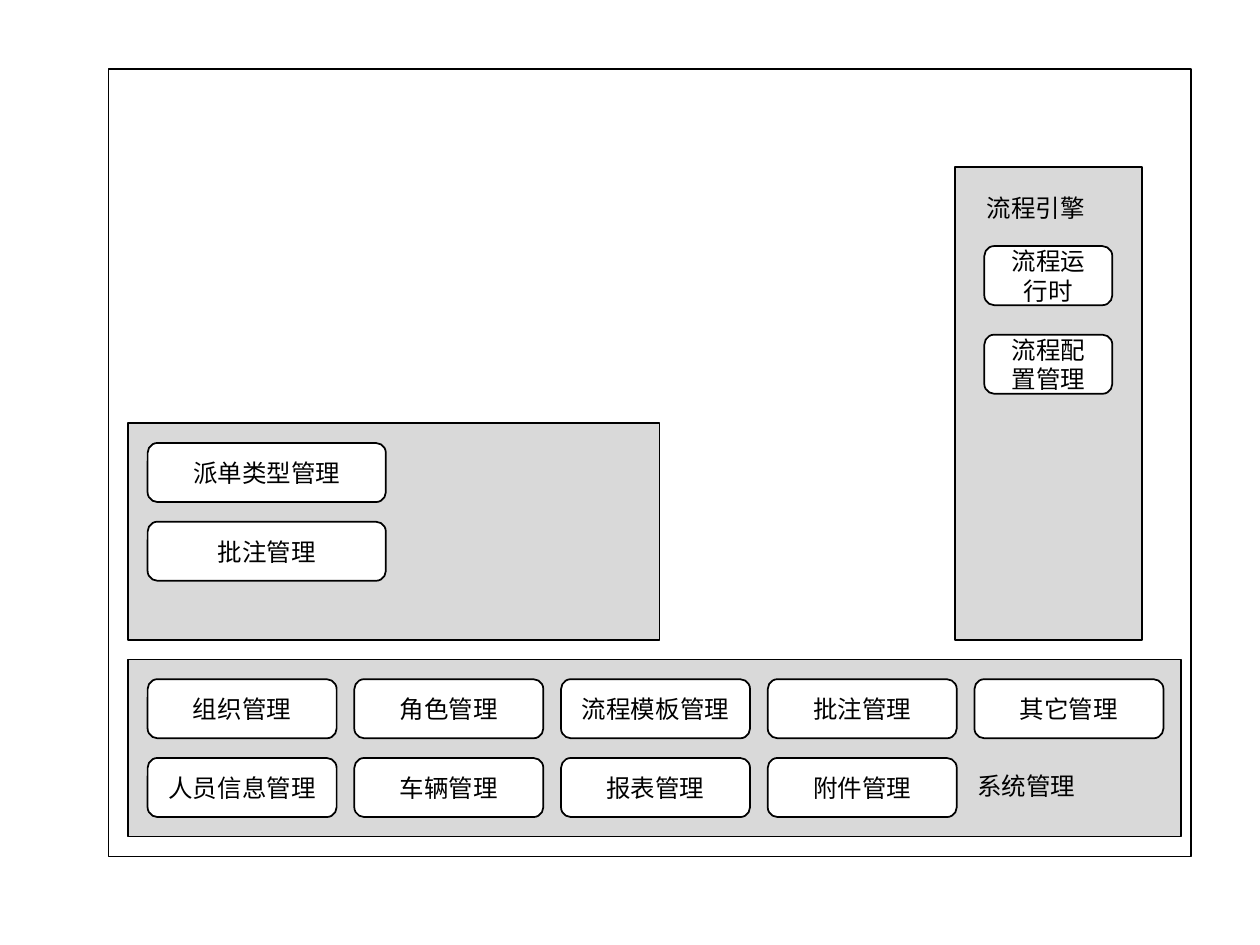
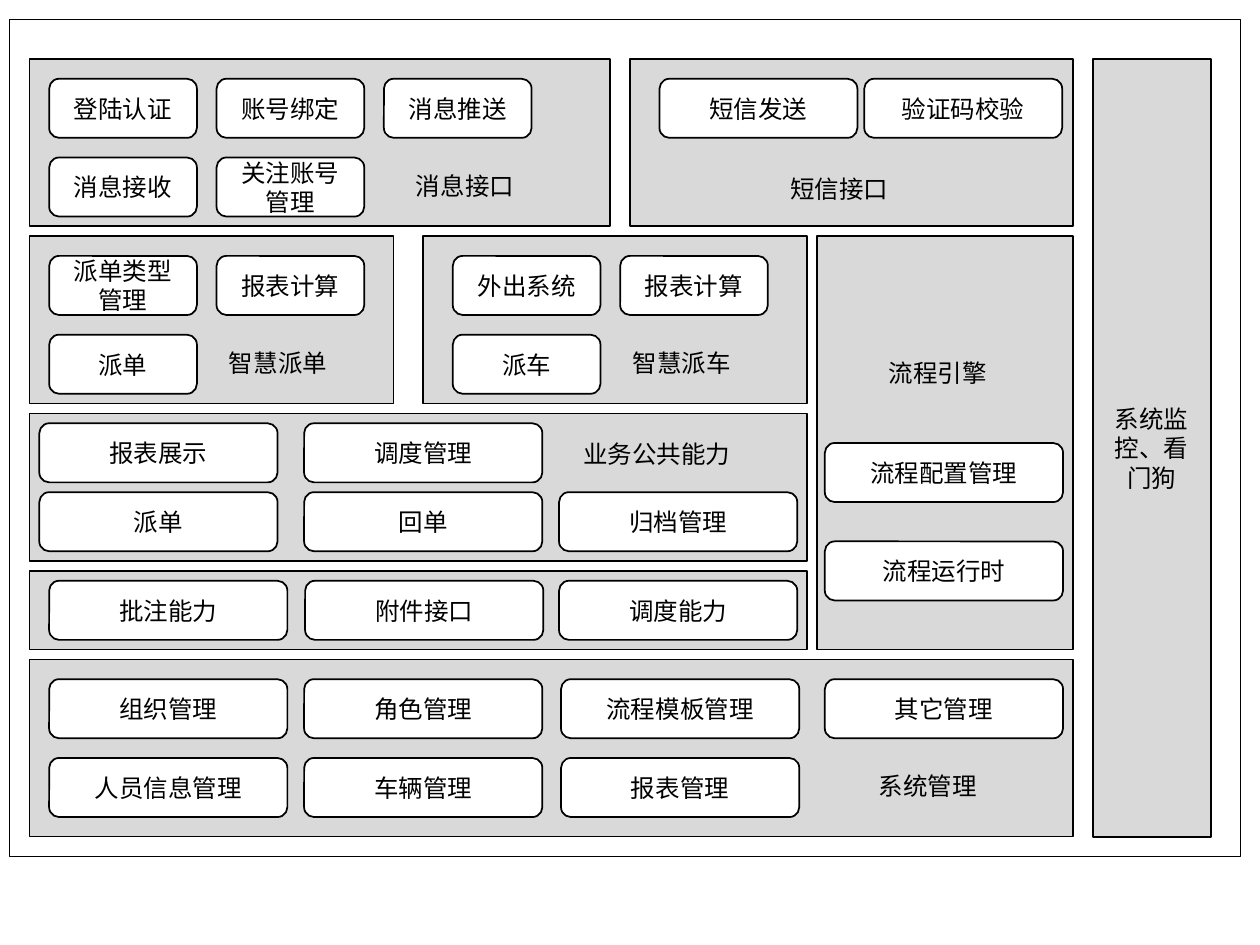
from pptx import Presentation
from pptx.dml.color import RGBColor
from pptx.enum.shapes import MSO_SHAPE as Shape
from pptx.enum.text import MSO_ANCHOR as Anchor, PP_ALIGN as Align
from pptx.util import Inches, Pt

COLORS = {"ink": "000000", "panel": "D9D9D9", "button": "FFFFFF"}
FONT, SIZE = "Calibri", 14
GRID_COLUMNS, GRID_ROWS = 128, 96
BUTTON_HEIGHT, LABEL_HEIGHT = 6, 4.35
NARROW, MEDIUM, WIDE, BROAD = 15, 19.2, 24.2, 20.1

# area and frame: column, row, columns, rows
# label: text, column, row, columns
# rows: grid row -> names; columns: left edges of those names
DIAGRAMS = [
    {
        "frame": (11, 7, 110, 80),
        "groups": [
            {"area": (97, 17, 19, 48), "label": ("流程引擎", 99, 19, 16),
             "width": 13, "columns": [100],
             "rows": {25: ["流程运行时"], 34: ["流程配置管理"]}},
            {"area": (13, 43, 54, 22), "width": WIDE, "columns": [15],
             "rows": {45: ["派单类型管理"], 53: ["批注管理"]}},
            {"area": (13, 67, 107, 18), "label": ("系统管理", 98, 77.7, 18),
             "width": MEDIUM, "columns": range(15, 100, 21),
             "rows": {69: ["组织管理", "角色管理", "流程模板管理", "批注管理", "其它管理"],
                      77: ["人员信息管理", "车辆管理", "报表管理", "附件管理"]}},
        ],
    },
    {
        "frame": (1, 2, 125, 85),
        "groups": [
            {"area": (3, 6, 59, 17), "label": ("消息接口", 41, 16.7, 16),
             "width": NARROW, "columns": [5, 22, 39],
             "rows": {8: ["登陆认证", "账号绑定", "消息推送"],
                      16: ["消息接收", "关注账号管理"]}},
            {"area": (64, 6, 45, 17), "label": ("短信接口", 79, 17, 16),
             "width": BROAD, "columns": [67, 87.8],
             "rows": {8: ["短信发送", "验证码校验"]}},
            {"area": (3, 24, 37, 17), "label": ("智慧派单", 22, 34.7, 16),
             "width": NARROW, "columns": [5, 22],
             "rows": {26: ["派单类型管理", "报表计算"], 34: ["派单"]}},
            {"area": (43, 24, 39, 17), "label": ("智慧派车", 63, 34.7, 16),
             "width": NARROW, "columns": [46, 63],
             "rows": {26: ["外出系统", "报表计算"], 34: ["派车"]}},
            {"area": (83, 24, 26, 42), "label": ("流程引擎", 89, 35.7, 16),
             "width": WIDE, "columns": [83.8],
             "rows": {45: ["流程配置管理"], 55: ["流程运行时"]}},
            {"area": (3, 42, 79, 15), "label": ("业务公共能力", 58, 44, 19),
             "width": WIDE, "columns": [4, 30.9, 56.8],
             "rows": {43: ["报表展示", "调度管理"],
                      50: ["派单", "回单", "归档管理"]}},
            {"area": (3, 58, 79, 8), "width": WIDE, "columns": [5, 31, 56.8],
             "rows": {59: ["批注能力", "附件接口", "调度能力"]}},
            {"area": (3, 67, 106, 18), "label": ("系统管理", 88, 77.7, 18),
             "width": WIDE, "columns": [5, 30.9, 57, 83.8],
             "rows": {69: ["组织管理", "角色管理", "流程模板管理", "其它管理"],
                      77: ["人员信息管理", "车辆管理", "报表管理"]}},
            {"area": (111, 6, 12, 79), "text": "系统监控、看门狗"},
        ],
    },
]

deck = Presentation()
deck.slide_width, deck.slide_height = Inches(10), Inches(7.5)


def place(column, row, columns, rows):
    across, down = deck.slide_width / GRID_COLUMNS, deck.slide_height / GRID_ROWS
    return [round(n) for n in (column * across, row * down, columns * across, rows * down)]


def color(name):
    return RGBColor.from_string(COLORS[name])


def write(shape, text, align, anchor):
    frame = shape.text_frame
    frame.word_wrap = True
    frame.vertical_anchor = anchor
    frame.text = text
    paragraph = frame.paragraphs[0]
    paragraph.alignment = align
    for run in paragraph.runs:
        run.font.name, run.font.size = FONT, Pt(SIZE)
        run.font.color.rgb = color("ink")


def add_box(slide, kind, area, fill=None, text="", weight=1):
    box = slide.shapes.add_shape(kind, *place(*area))
    box.shadow.inherit = False
    if fill:
        box.fill.solid()
        box.fill.fore_color.rgb = color(fill)
    else:
        box.fill.background()
    box.line.color.rgb = color("ink")
    box.line.width = Pt(weight)
    if text:
        write(box, text, Align.CENTER, Anchor.MIDDLE)


def add_group(slide, group):
    add_box(slide, Shape.RECTANGLE, group["area"], "panel", group.get("text", ""))
    for row, names in group.get("rows", {}).items():
        for column, name in zip(group["columns"], names):
            area = (column, row, group["width"], BUTTON_HEIGHT)
            add_box(slide, Shape.ROUNDED_RECTANGLE, area, "button", name)
    if "label" in group:
        text, column, row, columns = group["label"]
        label = slide.shapes.add_textbox(*place(column, row, columns, LABEL_HEIGHT))
        write(label, text, Align.LEFT, Anchor.TOP)


def main():
    for diagram in DIAGRAMS:
        slide = deck.slides.add_slide(deck.slide_layouts[6])
        add_box(slide, Shape.RECTANGLE, diagram["frame"], weight=0.75)
        for group in diagram["groups"]:
            add_group(slide, group)
    deck.save("out.pptx")


if __name__ == "__main__":
    main()
